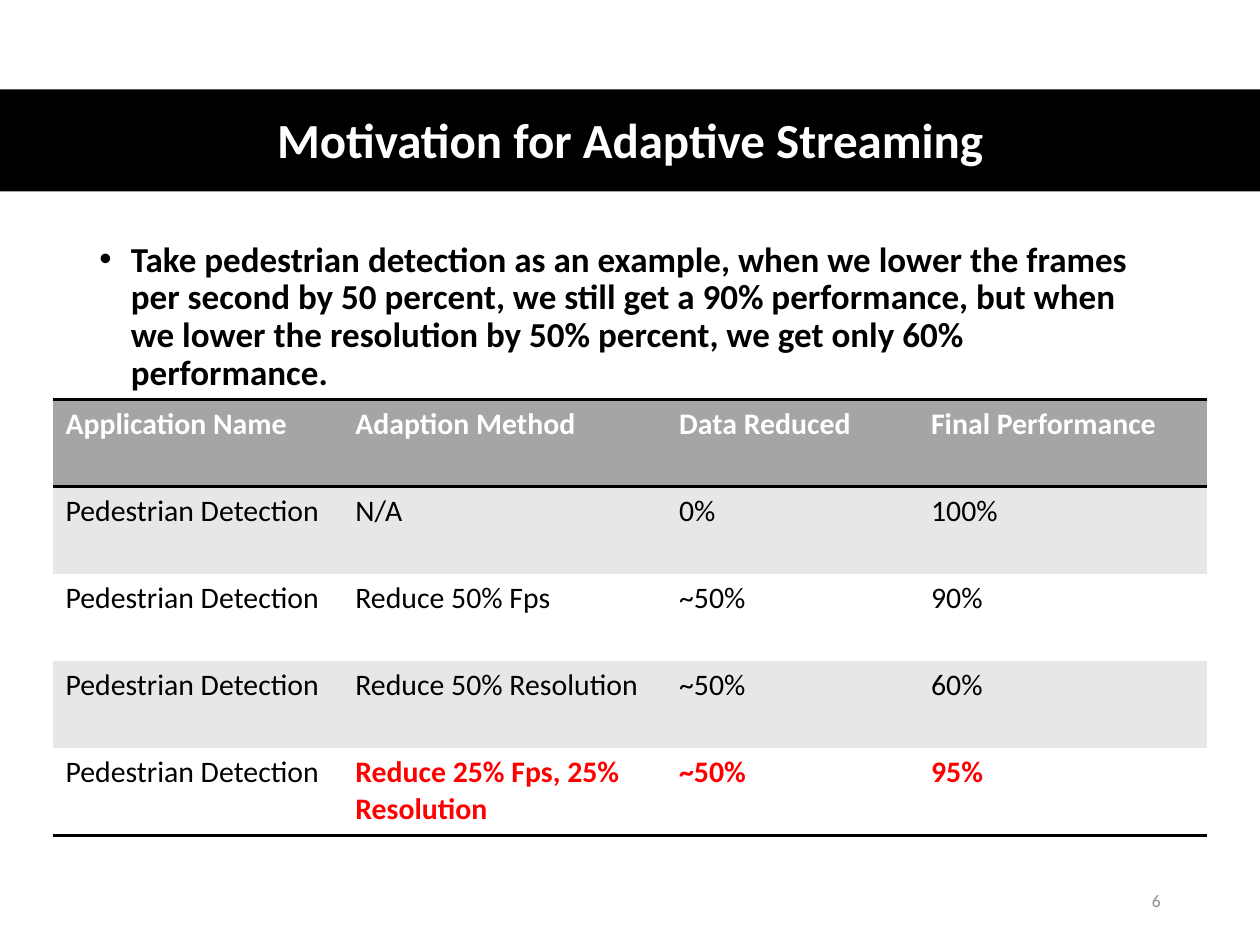
from lxml import etree
from pptx import Presentation
from pptx.dml.color import RGBColor
from pptx.enum.shapes import MSO_SHAPE
from pptx.enum.text import MSO_ANCHOR, PP_ALIGN
from pptx.oxml import parse_xml
from pptx.oxml.ns import nsdecls, qn
from pptx.util import Inches, Pt

RECTANGLE = MSO_SHAPE.RECTANGLE
MIDDLE, TOP = MSO_ANCHOR.MIDDLE, MSO_ANCHOR.TOP
LEFT, CENTER, RIGHT = PP_ALIGN.LEFT, PP_ALIGN.CENTER, PP_ALIGN.RIGHT

WIDTH, HEIGHT = Inches(10), Inches(7.5)
MARGIN = Inches(0.69)
CONTENT_WIDTH = WIDTH - 2 * MARGIN
FONT = "Calibri"
COLORS = {
    "black": "000000",
    "white": "FFFFFF",
    "header": "A5A5A5",
    "stripe": "E7E7E7",
    "accent": "FF0000",
    "number": "8C8C8C",
}
PLAIN_TABLE_STYLE = "{2D5ABB26-0587-4C30-8999-92F81FD0307C}"
APPLICATION = "Pedestrian Detection"
COLUMN_SHARES = (2.3, 2.57, 2, 2.29)
ROWS = (
    ("Application Name", "Adaption Method", "Data Reduced", "Final Performance"),
    (APPLICATION, "N/A", "0%", "100%"),
    (APPLICATION, "Reduce 50% Fps", "~50%", "90%"),
    (APPLICATION, "Reduce 50% Resolution", "~50%", "60%"),
    (APPLICATION, "Reduce 25% Fps, 25% Resolution", "~50%", "95%"),
)
BODY = (
    "Take pedestrian detection as an example, when we lower the frames per second "
    "by 50 percent, we still get a 90% performance, but when we lower the resolution "
    "by 50% percent, we get only 60% performance."
)


def color(name):
    """Return the named palette colour."""
    return RGBColor.from_string(COLORS[name])


def write_text(text_frame, text, size, color_name, bold=False, align=LEFT, anchor=TOP):
    """Fill a text frame with one formatted paragraph and return the paragraph."""
    text_frame.text = text
    text_frame.word_wrap = True
    text_frame.vertical_anchor = anchor
    paragraph = text_frame.paragraphs[0]
    paragraph.alignment = align
    font = paragraph.runs[0].font
    font.name, font.size, font.bold = FONT, Pt(size), bold
    font.color.rgb = color(color_name)
    return paragraph


def add_title(slide, left, top, width, height):
    """Lay the title over a full-width band."""
    band = slide.shapes.add_shape(RECTANGLE, left, top, width, height)
    band.shadow.inherit = False
    band.fill.solid()
    band.fill.fore_color.rgb = color("black")
    band.line.fill.background()
    title = slide.shapes.title
    title.left, title.top = left + MARGIN, top + Inches(0.03)
    title.width, title.height = width - 2 * MARGIN, height - Inches(0.03)
    paragraph = write_text(
        title.text_frame, "Motivation for Adaptive Streaming", 28, "white", True, CENTER, MIDDLE
    )
    paragraph.line_spacing = 0.9
    title._element.addprevious(band._element)


def add_body(slide, left, top, width, height):
    """Add the bulleted statement."""
    box = slide.shapes.add_textbox(left, top, width, height)
    paragraph = write_text(box.text_frame, BODY, 20, "black", True)
    paragraph.line_spacing = 0.9
    paragraph.space_before = Pt(10)
    properties = paragraph._p.get_or_add_pPr()
    properties.set("marL", str(Inches(0.25)))
    properties.set("indent", str(-Inches(0.25)))
    etree.SubElement(properties, qn("a:buFont"), typeface="Arial")
    etree.SubElement(properties, qn("a:buChar"), char="•")


def add_border(cell, tag):
    """Draw a black rule on one side of a table cell."""
    border = parse_xml(
        f'<a:{tag} {nsdecls("a")} w="{Pt(2)}"><a:solidFill>'
        f'<a:srgbClr val="{COLORS["black"]}"/></a:solidFill></a:{tag}>'
    )
    properties = cell._tc.get_or_add_tcPr()
    properties.insert(len(properties) - 1, border)


def add_results_table(slide, left, top, width, height):
    """Add the striped table with rules around the header and at the foot."""
    last = len(ROWS) - 1
    table = slide.shapes.add_table(len(ROWS), len(COLUMN_SHARES), left, top, width, height).table
    table.first_row = table.horz_banding = False
    table._tbl.tblPr.find(qn("a:tableStyleId")).text = PLAIN_TABLE_STYLE
    for column, share in zip(table.columns, COLUMN_SHARES):
        column.width = round(width * share / sum(COLUMN_SHARES))
    for row_index, row in enumerate(ROWS):
        is_header = row_index == 0
        fill = "header" if is_header else "stripe" if row_index % 2 else "white"
        for column_index, text in enumerate(row):
            cell = table.cell(row_index, column_index)
            is_accent = row_index == last and column_index > 0
            text_color = "white" if is_header else "accent" if is_accent else "black"
            write_text(cell.text_frame, text, 17, text_color, is_header or is_accent)
            cell.fill.solid()
            cell.fill.fore_color.rgb = color(fill)
            if is_header:
                add_border(cell, "lnT")
            if row_index in (0, last):
                add_border(cell, "lnB")


def add_page_number(slide, left, top, width, height):
    """Add the page number at the lower right."""
    box = slide.shapes.add_textbox(left, top, width, height)
    paragraph = write_text(box.text_frame, "6", 10, "number", align=RIGHT, anchor=MIDDLE)
    paragraph.space_after = Pt(6)


def main():
    """Build and save the slide."""
    presentation = Presentation()
    presentation.slide_width, presentation.slide_height = WIDTH, HEIGHT
    slide = presentation.slides.add_slide(presentation.slide_layouts[5])
    add_title(slide, 0, Inches(0.71), WIDTH, Inches(0.81))
    number_width = Inches(2.25)
    add_page_number(slide, WIDTH - MARGIN - number_width, Inches(6.95), number_width, Inches(0.4))
    add_body(slide, MARGIN, Inches(1.87), CONTENT_WIDTH, Inches(4.76))
    table_left = Inches(0.42)
    add_results_table(slide, table_left, Inches(3.17), WIDTH - 2 * table_left, Inches(3.46))
    presentation.save("out.pptx")


if __name__ == "__main__":
    main()
